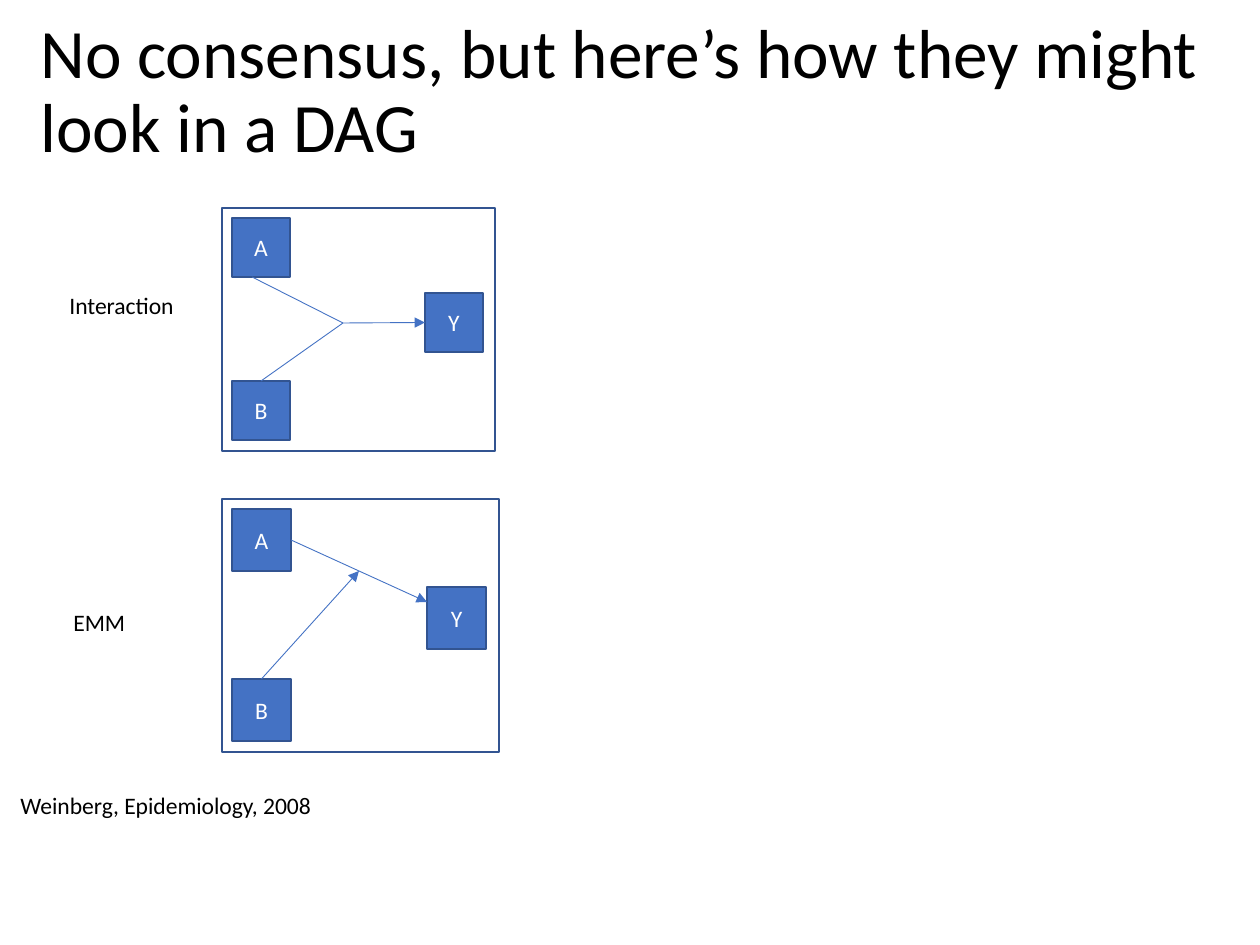
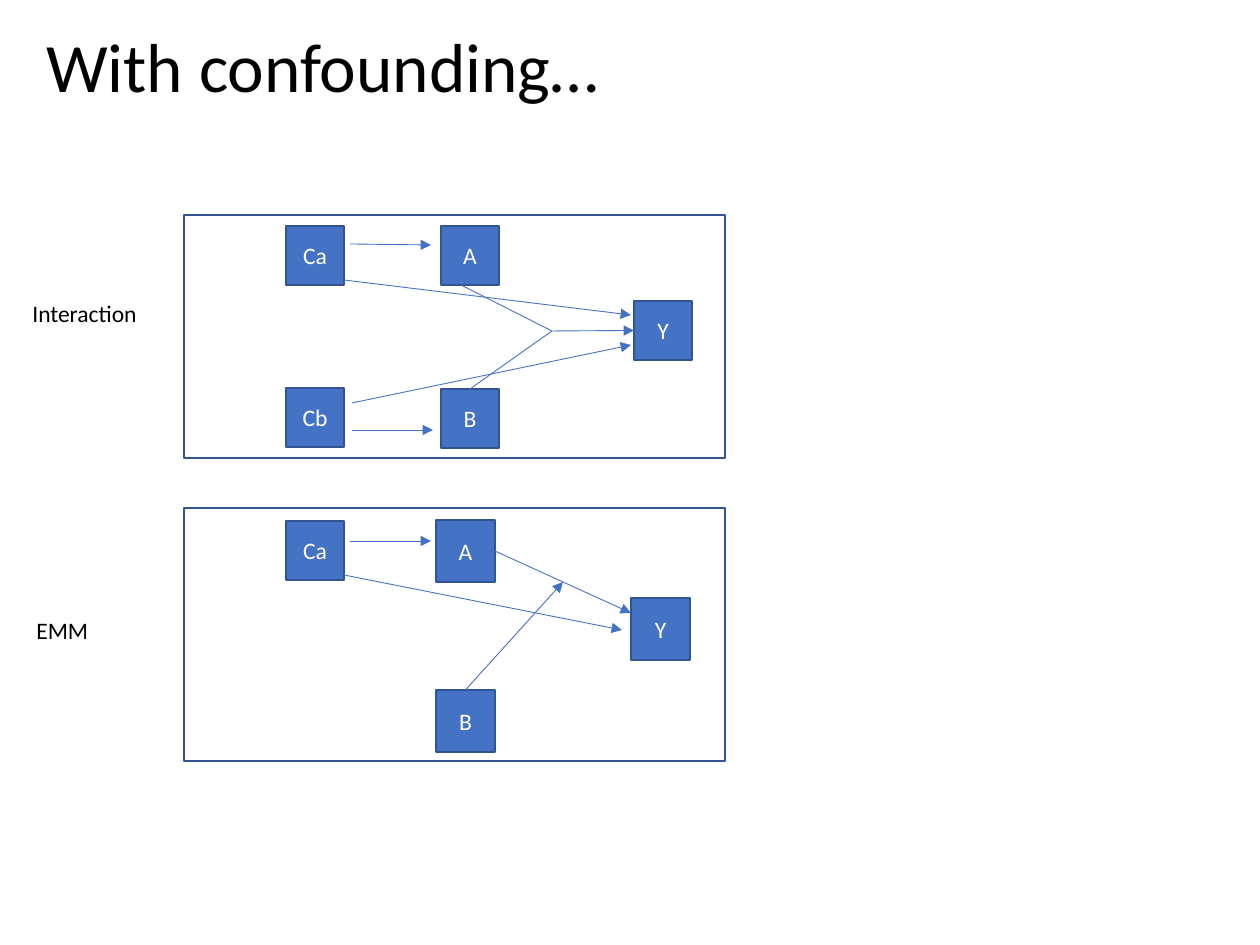
"""Build two slides of causal diagrams for interaction and effect modification."""
from lxml.etree import SubElement
from pptx import Presentation
from pptx.dml.color import RGBColor
from pptx.enum.shapes import MSO_CONNECTOR, MSO_SHAPE
from pptx.enum.text import MSO_ANCHOR, PP_ALIGN
from pptx.oxml.ns import qn
from pptx.util import Pt

PX = 914400 / 126
BLUE, EDGE, INK, WHITE = "4472C4", "325491", "000000", "FFFFFF"
TOP, LEFT, RIGHT = 0, 1, 3
paint = RGBColor.from_string


def put(slide, at, text="", kind="label", size=13.5):
    """Add a label, a filled node or an empty frame."""
    area = [round(n * PX) for n in at]
    if kind == "label":
        shape = slide.shapes.add_textbox(*area)
    else:
        shape = slide.shapes.add_shape(MSO_SHAPE.RECTANGLE, *area)
        shape.shadow.inherit = False
        shape.line.color.rgb = paint(EDGE)
        shape.line.width = Pt(1)
        if kind == "node":
            shape.fill.solid()
            shape.fill.fore_color.rgb = paint(BLUE)
        else:
            shape.fill.background()
    if text:
        frame = shape.text_frame
        frame.word_wrap = True
        para = frame.paragraphs[0]
        if kind == "node":
            frame.vertical_anchor = MSO_ANCHOR.MIDDLE
            para.alignment = PP_ALIGN.CENTER
        else:
            frame.vertical_anchor = MSO_ANCHOR.TOP
        run = para.add_run()
        run.text = text
        run.font.name = "Calibri"
        run.font.size = Pt(size)
        run.font.color.rgb = paint(WHITE if kind == "node" else INK)
    return shape


def link(slide, start, end, arrow=True):
    """Draw a thin line from start to end, with an arrowhead if asked."""
    ends = [round(n * PX) for n in (*start, *end)]
    line = slide.shapes.add_connector(MSO_CONNECTOR.STRAIGHT, *ends)
    line.line.color.rgb = paint(BLUE)
    line.line.width = Pt(0.5)
    if arrow:
        SubElement(line.line._get_or_add_ln(), qn("a:tailEnd"), type="triangle")
    SubElement(line._element.spPr, qn("a:effectLst"))
    return line


deck = Presentation()
deck.slide_width = round(1260 * PX)
deck.slide_height = round(945 * PX)

pages = [
    ("No consensus, but here’s how they might look in a DAG", (28, 12, 1205, 164),
     (0, 0), (0, 0), (222, 208, 273, 243), (222, 499, 277, 253), (57, 285)),
    ("With confounding…", (34, 26, 1086, 88),
     (209, 8), (204, 11), (184, 215, 541, 243), (184, 508, 541, 253), (20, 293)),
]
slides = []
for title, place, inter, emm, upper, lower, label in pages:
    slide = deck.slides.add_slide(deck.slide_layouts[6])
    slides.append(slide)
    head = put(slide, place, title, size=39.6)
    head.text_frame.paragraphs[0].line_spacing = 0.9

    x, y = inter
    a, out, b = [put(slide, (left + x, top + y, 58, 59), name, "node")
                 for name, left, top in (("A", 232, 218), ("Y", 425, 293), ("B", 232, 381))]
    meet = (343 + x, 323 + y)
    link(slide, (252 + x, 277 + y), meet, False)
    link(slide, (261 + x, 381 + y), meet, False).begin_connect(b, TOP)
    link(slide, meet, (425 + x, 323 + y)).end_connect(out, LEFT)
    put(slide, upper, kind="frame")

    x, y = emm
    a, out, b = [put(slide, (left + x, top + y, 59, 62), name, "node")
                 for name, left, top in (("A", 232, 509), ("Y", 427, 587), ("B", 232, 679))]
    link(slide, (291 + x, 540 + y), (427 + x, 602 + y)).begin_connect(a, RIGHT)
    link(slide, (262 + x, 679 + y), (359 + x, 571 + y)).begin_connect(b, TOP)
    put(slide, lower, kind="frame")

    x, y = label
    put(slide, (x, y, 160, 42), "Interaction")
    put(slide, (x + 4, y + 317, 160, 42), "EMM")

first, last = slides
put(first, (8, 785, 330, 42), "Weinberg, Epidemiology, 2008")

for name, top in (("Ca", 226), ("Cb", 388), ("Ca", 521)):
    put(last, (286, top, 58, 59), name, "node")
for start, end in (
    ((350, 244), (431, 245)),
    ((352, 430), (433, 430)),
    ((344, 280), (631, 315)),
    ((352, 403), (631, 345)),
    ((350, 541), (431, 541)),
    ((344, 575), (622, 630)),
):
    link(last, start, end)

deck.save("out.pptx")
